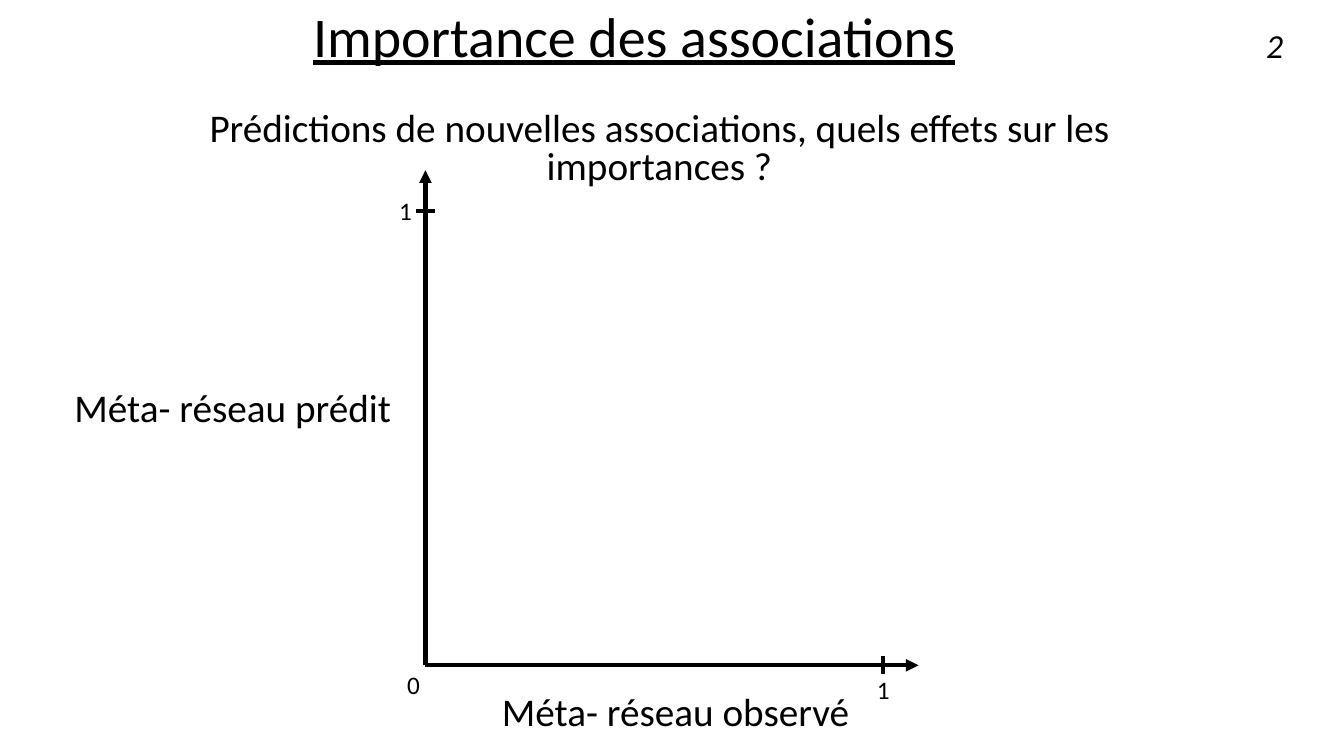
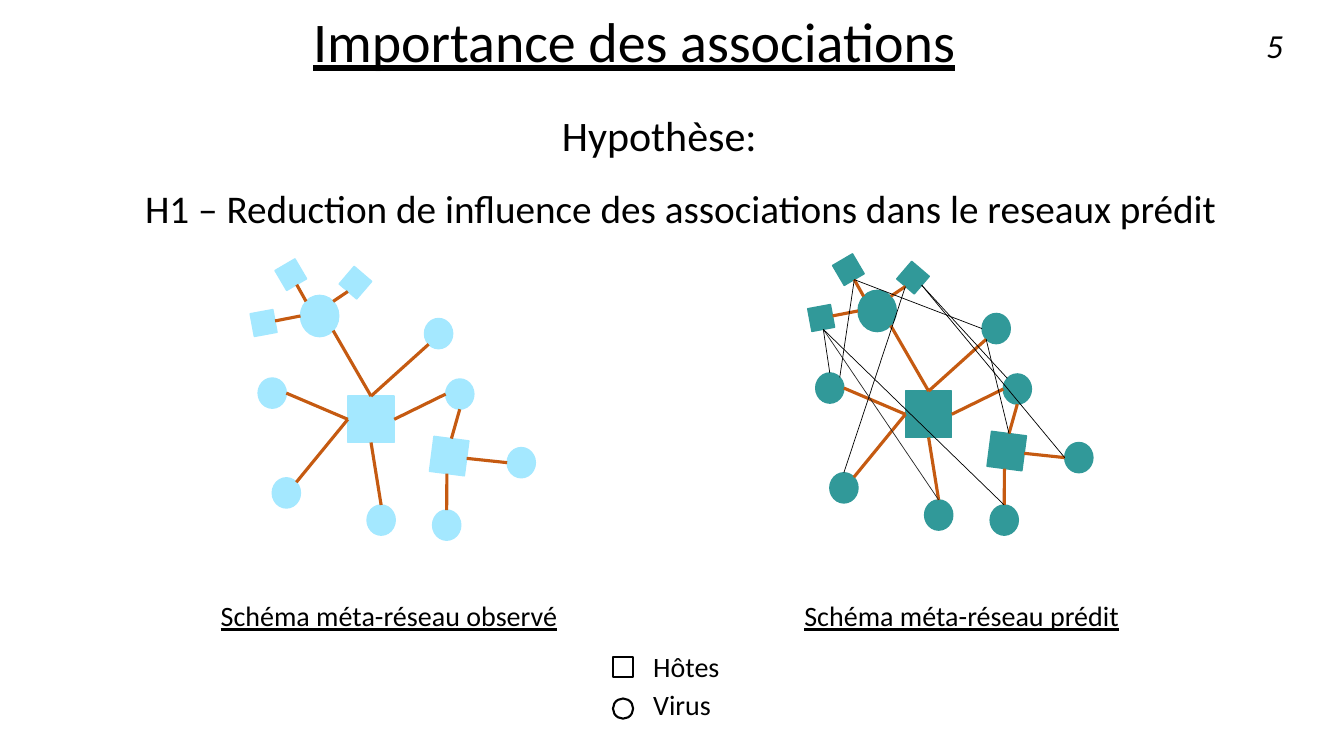
from math import cos, radians, sin, sqrt

from lxml.etree import SubElement
from pptx import Presentation
from pptx.dml.color import RGBColor
from pptx.enum.shapes import MSO_CONNECTOR, MSO_SHAPE
from pptx.enum.text import MSO_AUTO_SIZE, PP_ALIGN
from pptx.oxml.ns import qn
from pptx.util import Pt

EMU_PER_PX = 9144  # 100 px to the inch
BLANK_LAYOUT = 6

BLACK, CHARCOAL = "000000", "262626"
LIGHT_BLUE, TEAL, ORANGE = "A4E8FF", "319999", "C55A11"

DIAGONAL = sqrt(0.5)
SIDES = {
    "top": (0, -1), "left": (-1, 0), "bottom": (0, 1), "right": (1, 0),
    "top left": (-DIAGONAL, -DIAGONAL), "top right": (DIAGONAL, -DIAGONAL),
    "bottom left": (-DIAGONAL, DIAGONAL), "bottom right": (DIAGONAL, DIAGONAL),
}
SITES = {"top": 0, "left": 1, "bottom": 2, "right": 3}

# left, top, width, height
VIRUSES = {
    "cluster": (298, 293, 38, 41),
    "upper": (421, 316, 28, 30),
    "west": (256, 375, 28, 30),
    "south west": (270, 474, 28, 30),
    "south": (364, 501, 28, 30),
    "south east": (429, 506, 28, 30),
    "east": (442, 376, 28, 30),
    "far east": (503, 444, 28, 30),
}
# left, top, side, rotation
HOSTS = {
    "hub": (345, 393, 46, 0),
    "second": (428, 435, 35, 7.4),
    "leaf west": (250, 309, 23, 349.5),
    "leaf north": (277, 261, 23, 329.6),
    "leaf east": (341, 269, 23, 40.6),
}
OBSERVED_LINKS = [
    ("upper", "bottom left", "hub", "top"),
    ("cluster", "bottom right", "hub", "top"),
    ("west", "right", "hub", "left"),
    ("south west", "top right", "hub", "left"),
    ("hub", "bottom", "south", "top"),
    ("hub", "right", "east", "left"),
    ("second", "top", "east", "bottom"),
    ("second", "right", "far east", "left"),
    ("south east", "top", "second", "bottom"),
    ("leaf north", "bottom", "cluster", "top left"),
    ("leaf west", "right", "cluster", "left"),
    ("leaf east", "bottom", "cluster", "top right"),
]
PREDICTED_LINKS = [
    ("upper", "bottom left", "second", "top"),
    ("leaf east", "right", "east", "top left"),
    ("leaf north", "bottom", "upper", "left"),
    ("leaf north", "bottom", "west", "top right"),
    ("west", "top", "leaf west", "bottom"),
    ("leaf east", "bottom", "south west", "top"),
    ("leaf west", "bottom", "south", "top"),
    ("far east", "left", "leaf east", "right"),
    ("south east", "top", "leaf west", "bottom"),
]


def px(length):
    return round(length * EMU_PER_PX)


def color(value):
    return RGBColor.from_string(value)


def write(paragraph, text, size=20, underline=False, italic=False, align=None,
          line_spacing=None, space_before=None, indent=0):
    if indent:
        paragraph._p.get_or_add_pPr().set("marL", str(px(indent)))
    paragraph.alignment = align
    paragraph.line_spacing = line_spacing
    if space_before is not None:
        paragraph.space_before = Pt(space_before)
    run = paragraph.add_run()
    run.text = text
    font = run.font
    font.name, font.size = "Calibri", Pt(size)
    font.underline, font.italic = underline, italic
    font.color.rgb = color(BLACK)


def side_point(shape, side):
    """Point in EMU on a side of a shape, with its rotation applied."""
    across, down = SIDES[side]
    across, down = across * shape.width / 2, down * shape.height / 2
    angle = radians(shape.rotation)
    x = shape.left + shape.width / 2 + across * cos(angle) - down * sin(angle)
    y = shape.top + shape.height / 2 + across * sin(angle) + down * cos(angle)
    return round(x), round(y)


class Deck:
    def __init__(self):
        self.presentation = Presentation()
        self.presentation.slide_width = px(1333)
        self.presentation.slide_height = px(750)
        self.shapes = None

    def new_slide(self, number, subtitle, size, line_spacing, gap):
        layout = self.presentation.slide_layouts[BLANK_LAYOUT]
        self.slide = self.presentation.slides.add_slide(layout)
        self.shapes = self.slide.shapes
        frame = self.box(54, 9, 1150, 190)
        common = dict(align=PP_ALIGN.CENTER, line_spacing=line_spacing)
        write(frame.paragraphs[0], "Importance des associations", size=40,
              underline=True, **common)
        write(frame.add_paragraph(), subtitle, size=size, space_before=gap,
              indent=50, **common)
        self.label(str(number), 1246, 20, 59, 50, size=24, italic=True)

    def box(self, left, top, width, height):
        box = self.shapes.add_textbox(px(left), px(top), px(width), px(height))
        box.text_frame.word_wrap = True
        return box.text_frame

    def label(self, text, left, top, width, height, **text_format):
        frame = self.box(left, top, width, height)
        frame.auto_size = MSO_AUTO_SIZE.SHAPE_TO_FIT_TEXT
        write(frame.paragraphs[0], text, **text_format)

    def shape(self, kind, left, top, width, height, fill=None, line=BLACK,
              weight=1, rotation=0):
        shape = self.shapes.add_shape(kind, px(left), px(top), px(width), px(height))
        shape.shadow.inherit = False
        shape.rotation = rotation
        if fill:
            shape.fill.solid()
            shape.fill.fore_color.rgb = color(fill)
        else:
            shape.fill.background()
        shape.line.color.rgb = color(line)
        shape.line.width = Pt(weight)
        return shape

    def connector(self, start, end, line=BLACK, weight=3, arrow=False):
        """Straight line between two points given in EMU."""
        connector = self.shapes.add_connector(MSO_CONNECTOR.STRAIGHT, *start, *end)
        connector.line.color.rgb = color(line)
        connector.line.width = Pt(weight)
        if arrow:
            SubElement(connector.line._get_or_add_ln(), qn("a:tailEnd"), type="triangle")
        SubElement(connector._element.spPr, qn("a:effectLst"))
        return connector

    def line(self, x1, y1, x2, y2, **line_format):
        self.connector((px(x1), px(y1)), (px(x2), px(y2)), **line_format)

    def link(self, start, start_side, end, end_side, **line_format):
        connector = self.connector(side_point(start, start_side),
                                   side_point(end, end_side), **line_format)
        for shape, side, join in ((start, start_side, connector.begin_connect),
                                  (end, end_side, connector.end_connect)):
            if shape.auto_shape_type == MSO_SHAPE.RECTANGLE and not shape.rotation:
                join(shape, SITES[side])

    def network(self, fill, dx=0, dy=0, extra_links=()):
        self.shapes = self.slide.shapes.add_group_shape().shapes
        nodes = {}
        for name, (left, top, width, height) in VIRUSES.items():
            nodes[name] = self.shape(MSO_SHAPE.OVAL, left + dx, top + dy,
                                     width, height, fill=fill, line=fill)
        for name, (left, top, side, rotation) in HOSTS.items():
            nodes[name] = self.shape(MSO_SHAPE.RECTANGLE, left + dx, top + dy, side,
                                     side, fill=fill, line=fill, rotation=rotation)
        for links, line, weight in ((OBSERVED_LINKS, ORANGE, 2.25),
                                    (extra_links, BLACK, 0.5)):
            for start, start_side, end, end_side in links:
                dark = (start, end) == ("leaf west", "south")
                self.link(nodes[start], start_side, nodes[end], end_side,
                          line=CHARCOAL if dark else line, weight=weight)
        self.shapes = self.slide.shapes


def axes_slide(deck):
    deck.new_slide(2, "Prédictions de nouvelles associations, quels effets sur les "
                   "importances ?", size=28, line_spacing=0.8, gap=32)
    origin_x, origin_y, tick = 422, 660, 9
    one_x, one_y = 876, 209
    deck.line(origin_x, origin_y, origin_x, 169, arrow=True)
    deck.line(origin_x, origin_y, 911, origin_y, arrow=True)
    deck.line(origin_x - tick, one_y, origin_x + tick, one_y)
    deck.line(one_x, origin_y - tick, one_x, origin_y + tick)
    for text, left, top in (("1", 386, 189), ("1", 860, 664), ("0", 394, 659)):
        deck.label(text, left, top, 24, 40, size=18)
    deck.label("Méta- réseau prédit", 64, 375, 358, 57, size=28)
    deck.label("Méta- réseau observé", 488, 677, 386, 57, size=28)


def hypothesis_slide(deck):
    deck.new_slide(5, "Hypothèse:", size=30, line_spacing=0.9, gap=29)
    deck.label("H1 – Reduction de influence des associations dans le reseaux prédit",
               134, 178, 1098, 57, size=28)
    deck.network(LIGHT_BLUE)
    deck.network(TEAL, dx=553, dy=-5, extra_links=PREDICTED_LINKS)
    deck.label("Schéma méta-réseau observé", 209, 589, 428, 44, underline=True)
    deck.label("Schéma méta-réseau prédit", 788, 589, 336, 44, underline=True)
    for kind, text, mark_top, text_top in ((MSO_SHAPE.RECTANGLE, "Hôtes", 652, 639),
                                           (MSO_SHAPE.OVAL, "Virus", 693, 677)):
        deck.shape(kind, 608, mark_top, 20, 20, weight=1.5)
        deck.label(text, 638, text_top, 134, 44)


def main():
    deck = Deck()
    axes_slide(deck)
    hypothesis_slide(deck)
    deck.presentation.save("out.pptx")


if __name__ == "__main__":
    main()
